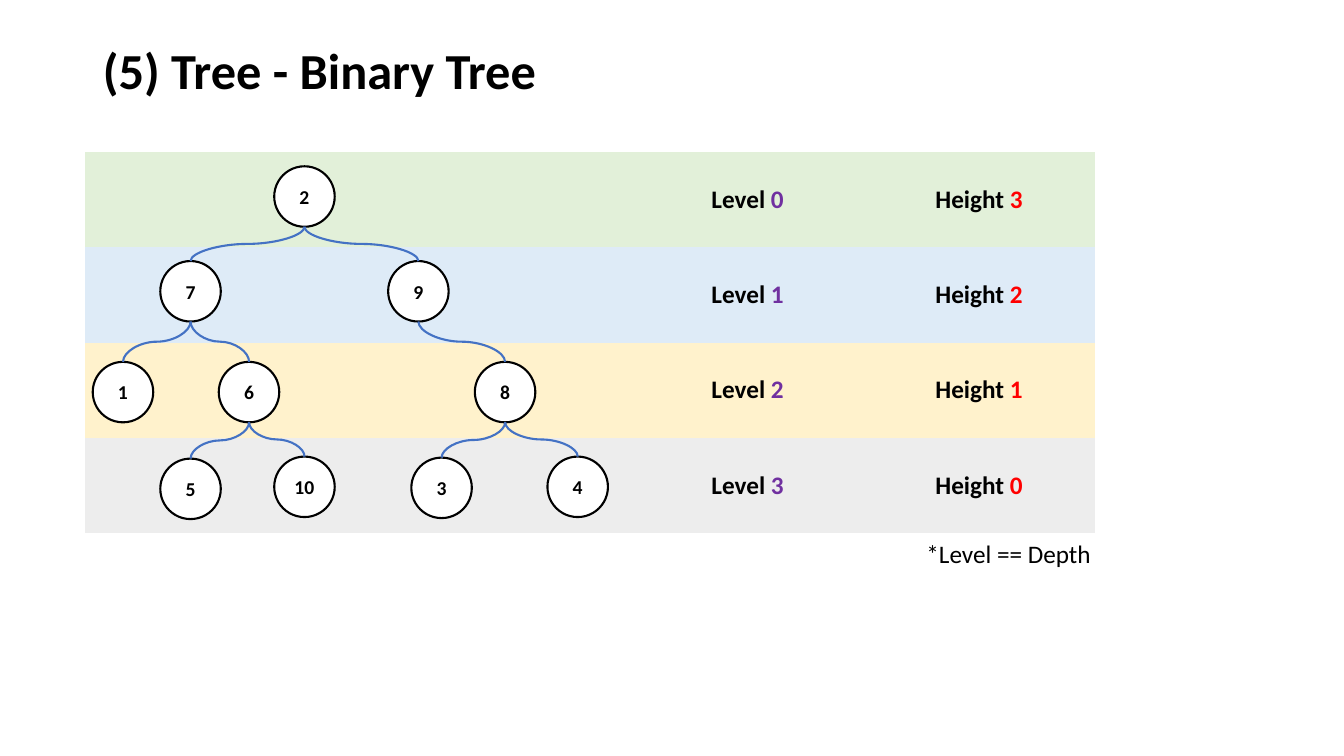
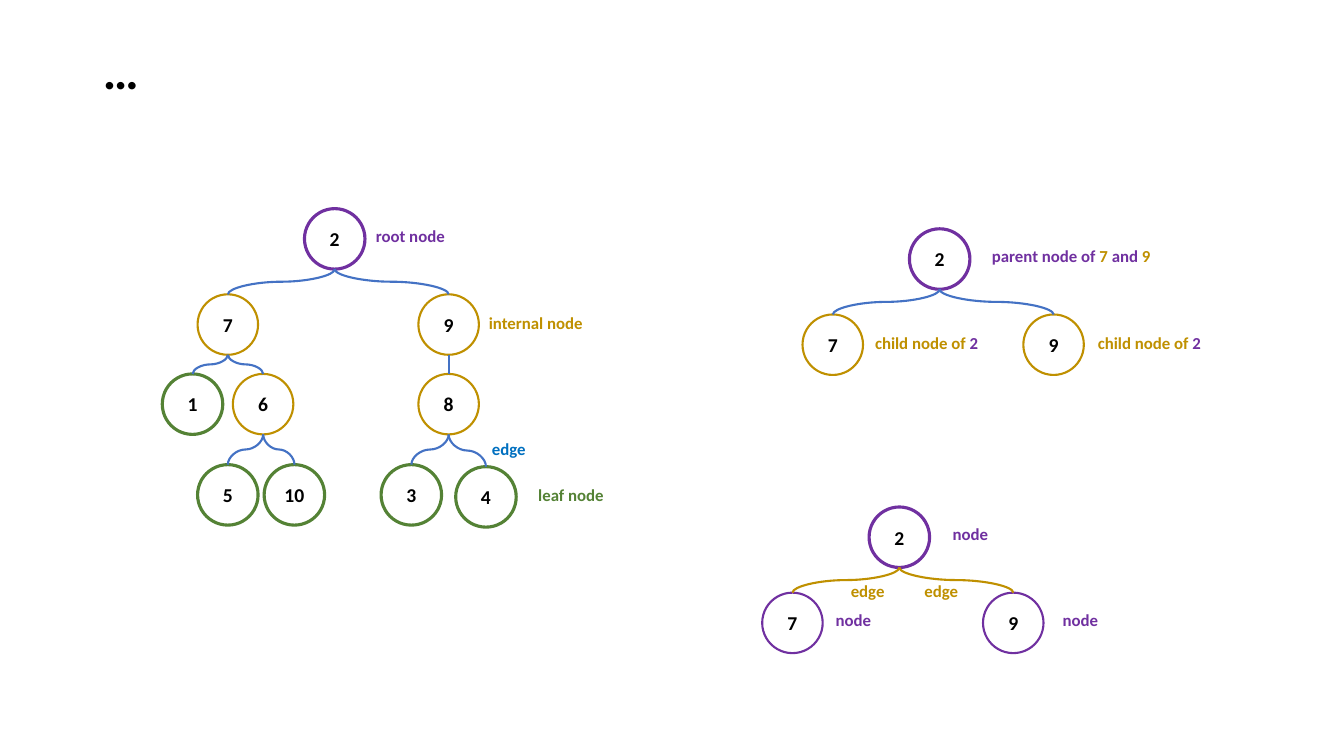
from dataclasses import dataclass

from lxml import etree
from pptx import Presentation
from pptx.dml.color import RGBColor
from pptx.enum.shapes import MSO_CONNECTOR, MSO_SHAPE
from pptx.enum.text import MSO_ANCHOR, MSO_AUTO_SIZE, PP_ALIGN
from pptx.oxml.ns import qn
from pptx.shapes.shapetree import GroupShapes, SlideShapes
from pptx.slide import Slide
from pptx.text.text import _Paragraph
from pptx.util import Inches, Pt

CURVE, STRAIGHT = MSO_CONNECTOR.CURVE, MSO_CONNECTOR.STRAIGHT
OVAL = MSO_SHAPE.OVAL
MIDDLE = MSO_ANCHOR.MIDDLE
LEFT, CENTER = PP_ALIGN.LEFT, PP_ALIGN.CENTER
FIT, FIXED = MSO_AUTO_SIZE.SHAPE_TO_FIT_TEXT, MSO_AUTO_SIZE.NONE

FONT = "Calibri"
SIZE = 0.6
THIN, THICK = 1.5, 2.25
NO_GRID = "{2D5ABB26-0587-4C30-8999-92F81FD0307C}"
HUES = {
    "black": "000000", "white": "FFFFFF", "red": "FF0000",
    "purple": "7030A0", "gold": "BF9000", "green": "548235",
    "link": "4472C4", "blue": "0070C0",
}
BANDS = ["E2F0D9", "DEEBF7", "FFF2CC", "EDEDED"]

Shapes = SlideShapes | GroupShapes
Runs = list[tuple[str, str]]


@dataclass
class Node:
    """A numbered circle, placed by its top left corner."""
    num: int
    left: float
    top: float
    hue: str = "black"
    width: float = THIN


@dataclass
class Label:
    """A line of text whose runs each have a hue."""
    left: float
    top: float
    width: float
    runs: Runs
    size: int = 12
    bold: bool = True
    height: float = 0.3


@dataclass
class Tree:
    """Nodes, the parent and child pairs that join them, and labels."""
    nodes: list[Node]
    links: list[tuple[int, int]]
    labels: list[Label]
    hue: str = "link"


def shade(name: str) -> RGBColor:
    """Look up a named hue."""
    return RGBColor.from_string(HUES[name])


def write(para: _Paragraph, runs: Runs, size: int, bold: bool = True,
          align: PP_ALIGN = LEFT) -> None:
    """Fill a paragraph with coloured runs."""
    para.alignment = align
    for text, hue in runs:
        run = para.add_run()
        run.text = text
        run.font.name = FONT
        run.font.size = Pt(size)
        run.font.bold = bold
        run.font.color.rgb = shade(hue)


def add_node(shapes: Shapes, node: Node) -> None:
    """Draw a circle with its number."""
    oval = shapes.add_shape(OVAL, Inches(node.left), Inches(node.top),
                            Inches(SIZE), Inches(SIZE))
    oval.shadow.inherit = False
    oval.fill.solid()
    oval.fill.fore_color.rgb = shade("white")
    oval.line.color.rgb = shade(node.hue)
    oval.line.width = Pt(node.width)
    oval.text_frame.vertical_anchor = MIDDLE
    write(oval.text_frame.paragraphs[0], [(str(node.num), "black")], 14,
          align=CENTER)


def add_link(shapes: Shapes, top: Node, low: Node, hue: str) -> None:
    """Join the foot of one node to the head of a lower one."""
    x1, y1 = top.left + SIZE / 2, top.top + SIZE
    x2, y2 = low.left + SIZE / 2, low.top
    if x1 == x2:
        line = shapes.add_connector(STRAIGHT, Inches(x1), Inches(y1),
                                    Inches(x2), Inches(y2))
    else:
        # A curve leaves sideways, so it is laid flat and then turned.
        mid_x, mid_y = (x1 + x2) / 2, (y1 + y2) / 2
        half_w, half_h = (y2 - y1) / 2, abs(x2 - x1) / 2
        right = x2 > x1
        if right:
            half_w = -half_w
        line = shapes.add_connector(
            CURVE, Inches(mid_x - half_w), Inches(mid_y - half_h),
            Inches(mid_x + half_w), Inches(mid_y + half_h))
        turn = 270 if right else 90
        line._element.spPr.xfrm.set("rot", str(turn * 60000))
    line.line.color.rgb = shade(hue)
    line.line.width = Pt(THIN)
    etree.SubElement(line._element.spPr, qn("a:effectLst"))


def add_label(shapes: Shapes, label: Label) -> None:
    """Draw a label that does not wrap."""
    box = shapes.add_textbox(Inches(label.left), Inches(label.top),
                             Inches(label.width), Inches(label.height))
    box.text_frame.word_wrap = False
    box.text_frame.auto_size = FIT
    write(box.text_frame.paragraphs[0], label.runs, label.size, label.bold)


def add_tree(shapes: Shapes, tree: Tree) -> None:
    """Draw the nodes, links and labels of a tree."""
    nodes = {node.num: node for node in tree.nodes}
    for node in tree.nodes:
        add_node(shapes, node)
    for top, low in tree.links:
        add_link(shapes, nodes[top], nodes[low], tree.hue)
    for label in tree.labels:
        add_label(shapes, label)


def add_slide(deck: Presentation, title: str) -> Slide:
    """Add a slide with the shared title style."""
    slide = deck.slides.add_slide(deck.slide_layouts[5])
    head = slide.shapes.title
    head.left, head.top = Inches(0.92), Inches(0.4)
    head.width, head.height = Inches(11.5), Inches(0.65)
    frame = head.text_frame
    frame.vertical_anchor = MIDDLE
    frame.auto_size = FIXED
    frame.paragraphs[0].line_spacing = 0.9
    write(frame.paragraphs[0], [(title, "black")], 36)
    return slide


def add_bands(slide: Slide) -> None:
    """Draw the table of levels and heights behind the tree."""
    table = slide.shapes.add_table(
        len(BANDS), 3, Inches(0.84), Inches(1.51),
        Inches(10.02), Inches(3.78)).table
    table.first_row = table.horz_banding = False
    table._tbl.tblPr.find(qn("a:tableStyleId")).text = NO_GRID
    for col, width in zip(table.columns, (5.43, 2.29, 2.3)):
        col.width = Inches(width)
    for row, band in enumerate(BANDS):
        texts = [[], [("Level ", "black"), (str(row), "purple")],
                 [("Height ", "black"),
                  (str(len(BANDS) - 1 - row), "red")]]
        for col, runs in enumerate(texts):
            cell = table.cell(row, col)
            cell.fill.solid()
            cell.fill.fore_color.rgb = RGBColor.from_string(band)
            cell.vertical_anchor = MIDDLE
            write(cell.text_frame.paragraphs[0], runs, 18, align=CENTER)


def make_trio(left: float, top: float, low_hue: str, hue: str,
              labels: list[Label]) -> Tree:
    """Build a tree of one parent and two children."""
    low = top + 0.85
    nodes = [Node(2, left, top, "purple", THICK),
             Node(7, left - 1.06, low, low_hue),
             Node(9, left + 1.13, low, low_hue)]
    return Tree(nodes, [(2, 7), (2, 9)], labels, hue)


LINKS = [(2, 7), (2, 9), (7, 1), (7, 6), (9, 8),
         (6, 5), (6, 10), (8, 3), (8, 4)]

LEVELS = Tree(
    [Node(2, 2.72, 1.65), Node(7, 1.59, 2.59), Node(9, 3.85, 2.59),
     Node(1, 0.92, 3.59), Node(6, 2.17, 3.59), Node(8, 4.71, 3.59),
     Node(5, 1.59, 4.55), Node(10, 2.72, 4.53), Node(3, 4.08, 4.54),
     Node(4, 5.43, 4.53)],
    LINKS,
    [Label(9.09, 5.29, 1.86, [("*Level == Depth", "black")], 18, False, 0.4)])

KINDS = Tree(
    [Node(2, 3.02, 2.07, "purple", THICK)]
    + [Node(num, left, top, "gold") for num, left, top in (
        (7, 1.96, 2.92), (9, 4.15, 2.92), (6, 2.31, 3.71), (8, 4.15, 3.71))]
    + [Node(num, left, top, "green", THICK) for num, left, top in (
        (1, 1.61, 3.71), (5, 1.96, 4.61), (10, 2.62, 4.61),
        (3, 3.78, 4.61), (4, 4.52, 4.63))],
    LINKS,
    [Label(3.63, 2.19, 0.9, [("root node", "purple")]),
     Label(4.75, 3.05, 1.15, [("internal node", "gold")]),
     Label(4.78, 4.3, 0.54, [("edge", "blue")]),
     Label(5.24, 4.76, 0.86, [("leaf node", "green")])])

CHILD = [("child node of ", "gold"), ("2", "purple")]
FAMILY = make_trio(9.02, 2.27, "gold", "link", [
    Label(9.74, 2.39, 1.8, [("parent node of ", "purple"), ("7", "gold"),
                            (" and ", "purple"), ("9", "gold")]),
    Label(8.58, 3.25, 1.28, CHILD),
    Label(10.79, 3.25, 1.28, CHILD)])

PARTS = make_trio(8.62, 5.03, "purple", "gold", [
    *(Label(left, top, 0.56, [("node", "purple")])
      for left, top in ((9.35, 5.15), (8.19, 6), (10.44, 6))),
    *(Label(left, 5.71, 0.54, [("edge", "gold")]) for left in (8.34, 9.07))])


def main() -> None:
    """Build and save both slides."""
    deck = Presentation()
    deck.slide_width, deck.slide_height = Inches(13.33), Inches(7.5)

    slide = add_slide(deck, "(5) Tree - Binary Tree")
    add_bands(slide)
    add_tree(slide.shapes, LEVELS)

    slide = add_slide(deck, "…")
    for tree in (KINDS, FAMILY, PARTS):
        add_tree(slide.shapes.add_group_shape().shapes, tree)

    deck.save("out.pptx")


main()
